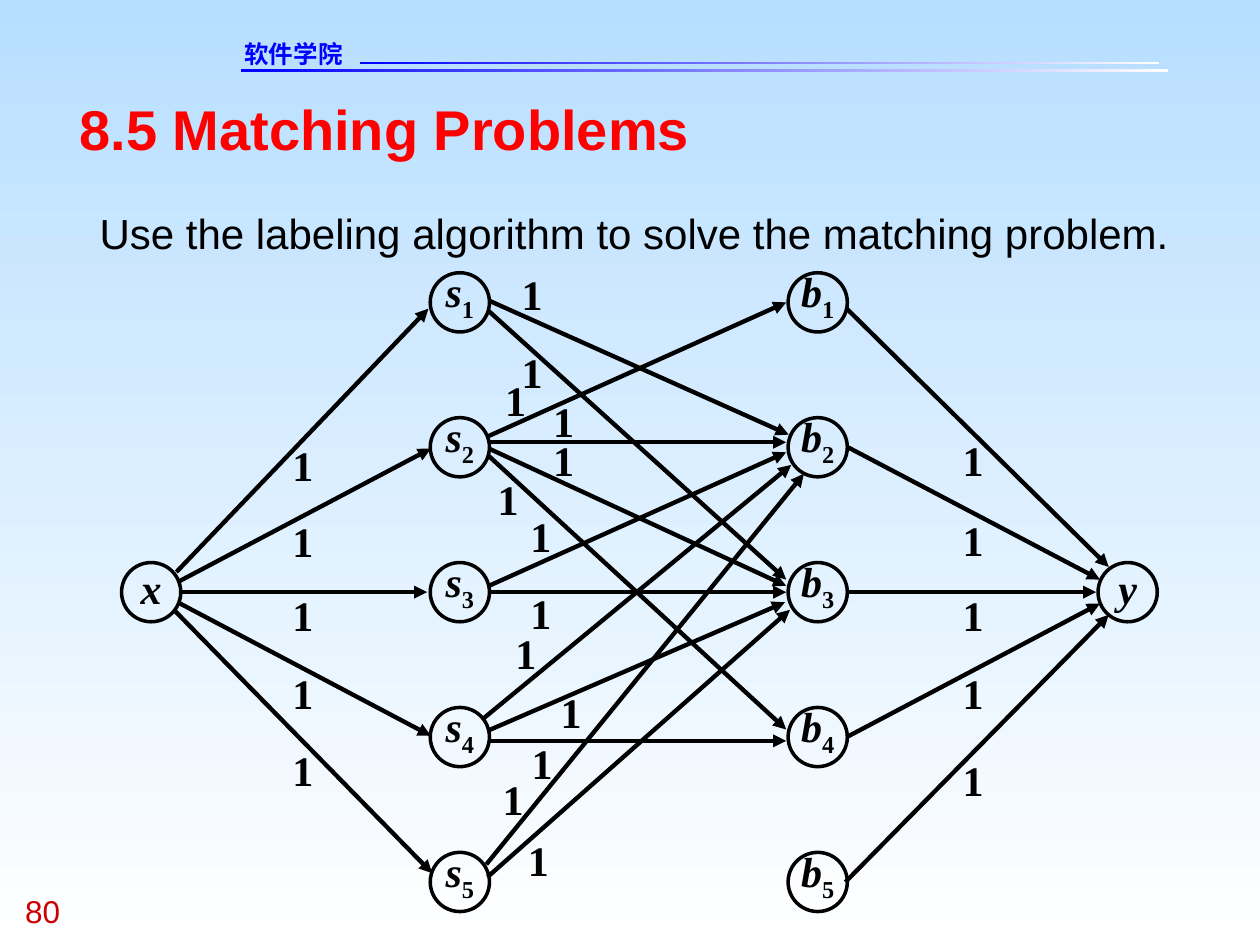
from dataclasses import dataclass

from lxml.etree import SubElement
from pptx import Presentation
from pptx.dml.color import RGBColor
from pptx.enum.shapes import MSO_CONNECTOR, MSO_SHAPE
from pptx.enum.text import MSO_ANCHOR as Anchor, PP_ALIGN as Align
from pptx.oxml.ns import qn
from pptx.util import Inches, Pt


@dataclass(frozen=True)
class Theme:
    sky: str = "B7DEFF"
    white: str = "FFFFFF"
    blue: str = "0000FF"
    red: str = "FF0000"
    dark_red: str = "CC0000"
    ink: str = "000000"
    sans: str = "Arial"
    serif: str = "Times New Roman"
    header_font: str = "DejaVu Sans"
    header: int = 14
    number: int = 18
    body: int = 24
    title: int = 32
    node_line: float = 2
    edge_line: float = 2.5


T = Theme()
WIDTH, HEIGHT = 10, 7.5
COLUMNS = {"x": 1.2, "s": 3.65, "b": 6.49, "y": 8.95}
FIRST_ROW, ROW_STEP, ROWS = 2.4, 1.15, 5
MIDDLE_ROW = 3
NODE_SIZE = 0.47

# Tail node, head node, then the line's ends as offsets from the node centres.
EDGES = [
    ("x", "s1", (0.2, -0.16), (-0.25, 0.05)),
    ("x", "s2", (0.21, -0.08), (-0.23, 0.01)),
    ("x", "s3", (0.22, 0), (-0.26, 0)),
    ("x", "s4", (0.21, 0.08), (-0.23, -0.01)),
    ("x", "s5", (0.18, 0.14), (-0.22, -0.07)),
    ("s1", "b2", (0.24, -0.01), (-0.23, -0.1)),
    ("s1", "b3", (0.23, 0.07), (-0.25, -0.1)),
    ("s2", "b1", (0.23, -0.09), (-0.25, 0)),
    ("s2", "b2", (0.23, -0.04), (-0.25, -0.04)),
    ("s2", "b3", (0.23, 0.01), (-0.25, -0.05)),
    ("s2", "b4", (0.23, 0.07), (-0.25, -0.06)),
    ("s3", "b2", (0.23, -0.05), (-0.25, 0.04)),
    ("s3", "b3", (0.23, 0), (-0.25, 0)),
    ("s4", "b2", (0.19, -0.15), (-0.21, 0.14)),
    ("s4", "b3", (0.22, -0.05), (-0.26, 0.08)),
    ("s4", "b4", (0.23, 0.03), (-0.25, 0.03)),
    ("s5", "b2", (0.21, -0.14), (-0.11, 0.21)),
    ("s5", "b3", (0.22, -0.04), (-0.22, 0.14)),
    ("b1", "y", (0.23, 0.05), (-0.15, -0.2)),
    ("b2", "y", (0.24, 0), (-0.22, -0.1)),
    ("b3", "y", (0.24, 0), (-0.25, 0)),
    ("b4", "y", (0.23, 0), (-0.22, 0.09)),
    ("b5", "y", (0.22, 0), (-0.15, 0.18)),
]

# Left and top of each edge's capacity label.
CAPACITIES = (
    [(2.32, top) for top in (3.49, 4.09, 4.68, 5.3, 5.91)]
    + [(7.64, top) for top in (3.45, 4.08, 4.68, 5.3, 5.99)]
    + [(4.14, 2.13), (4.14, 2.75), (4.01, 2.97), (4.39, 3.14), (4.39, 3.45),
       (3.95, 3.76), (4.21, 4.05), (4.21, 4.66), (4.09, 4.98), (4.45, 5.45),
       (4.22, 5.85), (3.99, 6.14), (4.19, 6.62)]
)


def node_center(name):
    row = int(name[1:] or MIDDLE_ROW)
    return COLUMNS[name[0]], FIRST_ROW + (row - 1) * ROW_STEP


def style_run(r, size, color, font, bold=False, italic=False):
    f = r.font
    f.size, f.name, f.bold, f.italic = Pt(size), font, bold, italic
    f.color.rgb = RGBColor.from_string(color)


def clear_margins(tf):
    tf.margin_left = tf.margin_top = tf.margin_right = tf.margin_bottom = 0


def set_gradient(fill, colors, angle):
    fill.gradient()
    fill.gradient_angle = angle
    for stop, color in zip(fill.gradient_stops, colors):
        stop.color.rgb = RGBColor.from_string(color)


def add_text(s, text, box, size, color, font, bold=False, wrap=True, spacing=None):
    tf = s.shapes.add_textbox(*map(Inches, box)).text_frame
    clear_margins(tf)
    tf.word_wrap = wrap
    tf.text = text
    p = tf.paragraphs[0]
    p.line_spacing = spacing
    style_run(p.runs[0], size, color, font, bold)


def add_header_bar(s, box):
    sp = s.shapes.add_shape(MSO_SHAPE.RECTANGLE, *map(Inches, box))
    sp.shadow.inherit = False
    sp.line.fill.background()
    set_gradient(sp.fill, (T.white, T.blue), 180)


def add_node(s, name):
    """Draw a circle holding an italic letter and its subscript, if any."""
    x, y = node_center(name)
    box = (x - NODE_SIZE / 2, y - NODE_SIZE / 2, NODE_SIZE, NODE_SIZE)
    sp = s.shapes.add_shape(MSO_SHAPE.OVAL, *map(Inches, box))
    sp.shadow.inherit = False
    sp.fill.background()
    sp.line.color.rgb = RGBColor.from_string(T.ink)
    sp.line.width = Pt(T.node_line)
    tf = sp.text_frame
    clear_margins(tf)
    tf.word_wrap = False
    tf.vertical_anchor = Anchor.BOTTOM
    p = tf.paragraphs[0]
    p.alignment = Align.CENTER
    for i, part in enumerate(name):
        r = p.add_run()
        r.text = part
        style_run(r, T.body, T.ink, T.serif, bold=True, italic=i == 0)
        if i:
            r.font._element.set("baseline", "-25000")


def add_edge(s, tail, head, start, end):
    points = [c + d for node, offset in ((tail, start), (head, end))
              for c, d in zip(node_center(node), offset)]
    line = s.shapes.add_connector(MSO_CONNECTOR.STRAIGHT, *map(Inches, points))
    line.line.color.rgb = RGBColor.from_string(T.ink)
    line.line.width = Pt(T.edge_line)
    SubElement(line.line._get_or_add_ln(), qn("a:tailEnd"), type="triangle")
    SubElement(line._element.spPr, qn("a:effectLst"))


def add_header(s):
    add_header_bar(s, (1.91, 0.55, 7.36, 0.02))
    add_header_bar(s, (2.86, 0.49, 6.34, 0.02))
    add_text(s, "软件学院", (1.94, 0.31, 1.45, 0.23), T.header, T.blue,
             T.header_font, bold=True)


def add_network(s):
    for name in ["x", "y"] + [f"{c}{i}" for c in "sb" for i in range(1, ROWS + 1)]:
        add_node(s, name)
    for edge in EDGES:
        add_edge(s, *edge)
    for left, top in CAPACITIES:
        add_text(s, "1", (left, top, 0.17, 0.4), T.body, T.ink, T.serif,
                 bold=True, wrap=False)


def main():
    prs = Presentation()
    prs.slide_width, prs.slide_height = Inches(WIDTH), Inches(HEIGHT)
    s = prs.slides.add_slide(prs.slide_layouts[6])
    set_gradient(s.background.fill, (T.sky, T.white), 270)
    add_header(s)
    add_text(s, "8.5 Matching Problems", (0.63, 0.75, 8.75, 0.53),
             T.title, T.red, T.sans, bold=True)
    add_text(s, "Use the labeling algorithm to solve the matching problem.",
             (0.79, 1.57, 8.7, 0.96), T.body, T.ink, T.sans, spacing=1.2)
    add_network(s)
    add_text(s, "80", (0.2, 7.08, 0.75, 0.3), T.number, T.dark_red, T.sans)
    prs.save("out.pptx")


if __name__ == "__main__":
    main()
